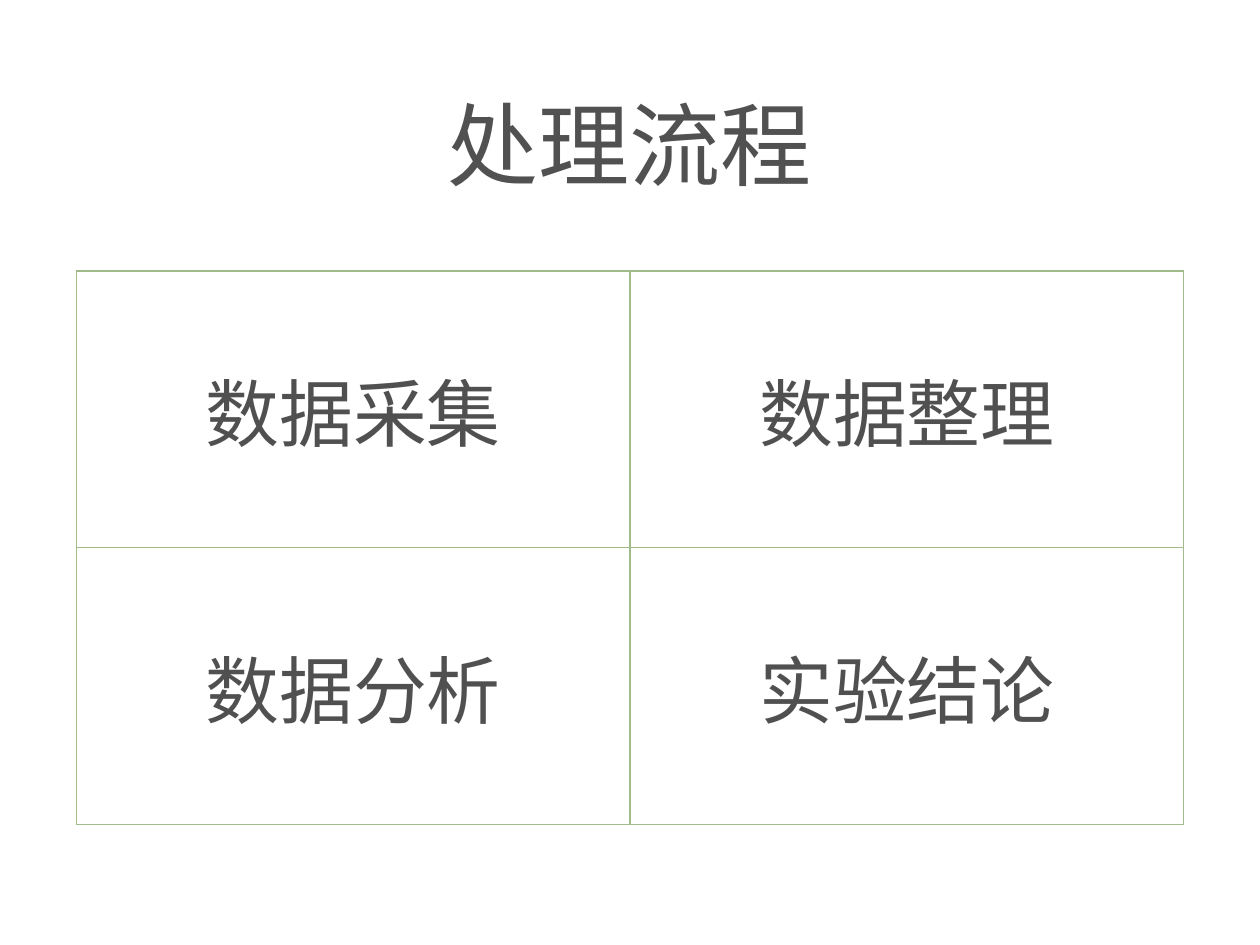
from dataclasses import dataclass

from lxml import etree
from pptx import Presentation
from pptx.dml.color import RGBColor
from pptx.enum.text import MSO_ANCHOR, MSO_AUTO_SIZE, PP_ALIGN
from pptx.oxml.ns import qn
from pptx.util import Inches, Pt

CENTER = PP_ALIGN.CENTER
MIDDLE = MSO_ANCHOR.MIDDLE
NO_AUTOFIT = MSO_AUTO_SIZE.NONE
TITLE_ONLY = 5
BORDER_TAGS = ("a:lnL", "a:lnR", "a:lnT", "a:lnB")


@dataclass(frozen=True)
class Theme:
    font: str = "Lato"
    title_color: str = "515151"
    cell_color: str = "3D3E3F"
    border_color: str = "A2BB8B"
    title_size: int = 74
    cell_size: int = 60
    border_width: int = 1
    cell_opacity: int = 90
    border_opacity: int = 50


THEME = Theme()
STEPS = (("数据采集", "数据整理"), ("数据分析", "实验结论"))


def set_opacity(color_element, percent):
    alpha = etree.SubElement(color_element, qn("a:alpha"))
    alpha.set("val", str(percent * 1000))


def write_text(frame, text, *, size, color, opacity=100):
    para = frame.paragraphs[0]
    para.alignment = CENTER
    span = para.add_run()
    span.text = text
    span.font.name = THEME.font
    span.font.size = Pt(size)
    span.font.color.rgb = RGBColor.from_string(color)
    if opacity < 100:
        set_opacity(span.font.fill._xPr.find(".//" + qn("a:srgbClr")), opacity)


def add_title(page, text):
    title = page.shapes.title
    title.left, title.top = Inches(0.86), Inches(0.57)
    title.width, title.height = Inches(12.5), Inches(2.08)
    frame = title.text_frame
    frame.margin_left = frame.margin_right = 0
    frame.margin_top = frame.margin_bottom = 0
    frame.vertical_anchor = MIDDLE
    frame.auto_size = NO_AUTOFIT
    write_text(frame, text, size=THEME.title_size, color=THEME.title_color)


def add_borders(cell):
    properties = cell._tc.get_or_add_tcPr()
    for tag in BORDER_TAGS:
        line = etree.SubElement(properties, qn(tag), w=str(Pt(THEME.border_width)))
        fill = etree.SubElement(line, qn("a:solidFill"))
        color = etree.SubElement(fill, qn("a:srgbClr"), val=THEME.border_color)
        set_opacity(color, THEME.border_opacity)
        etree.SubElement(line, qn("a:prstDash"), val="solid")


def format_cell(cell, text):
    cell.margin_left = cell.margin_right = Inches(0.06)
    cell.margin_top = cell.margin_bottom = Inches(0.06)
    cell.vertical_anchor = MIDDLE
    add_borders(cell)
    cell.fill.background()
    write_text(cell.text_frame, text, size=THEME.cell_size,
               color=THEME.cell_color, opacity=THEME.cell_opacity)


def add_step_table(page, steps):
    table = page.shapes.add_table(
        len(steps), len(steps[0]),
        Inches(0.86), Inches(3.06), Inches(12.5), Inches(6.25)).table
    table.first_row = False
    table.horz_banding = False
    for row, names in enumerate(steps):
        for column, name in enumerate(names):
            format_cell(table.cell(row, column), name)


def main():
    deck = Presentation()
    deck.slide_width, deck.slide_height = Inches(14.22), Inches(10.67)
    page = deck.slides.add_slide(deck.slide_layouts[TITLE_ONLY])
    add_title(page, "处理流程")
    add_step_table(page, STEPS)
    deck.save("out.pptx")


if __name__ == "__main__":
    main()
